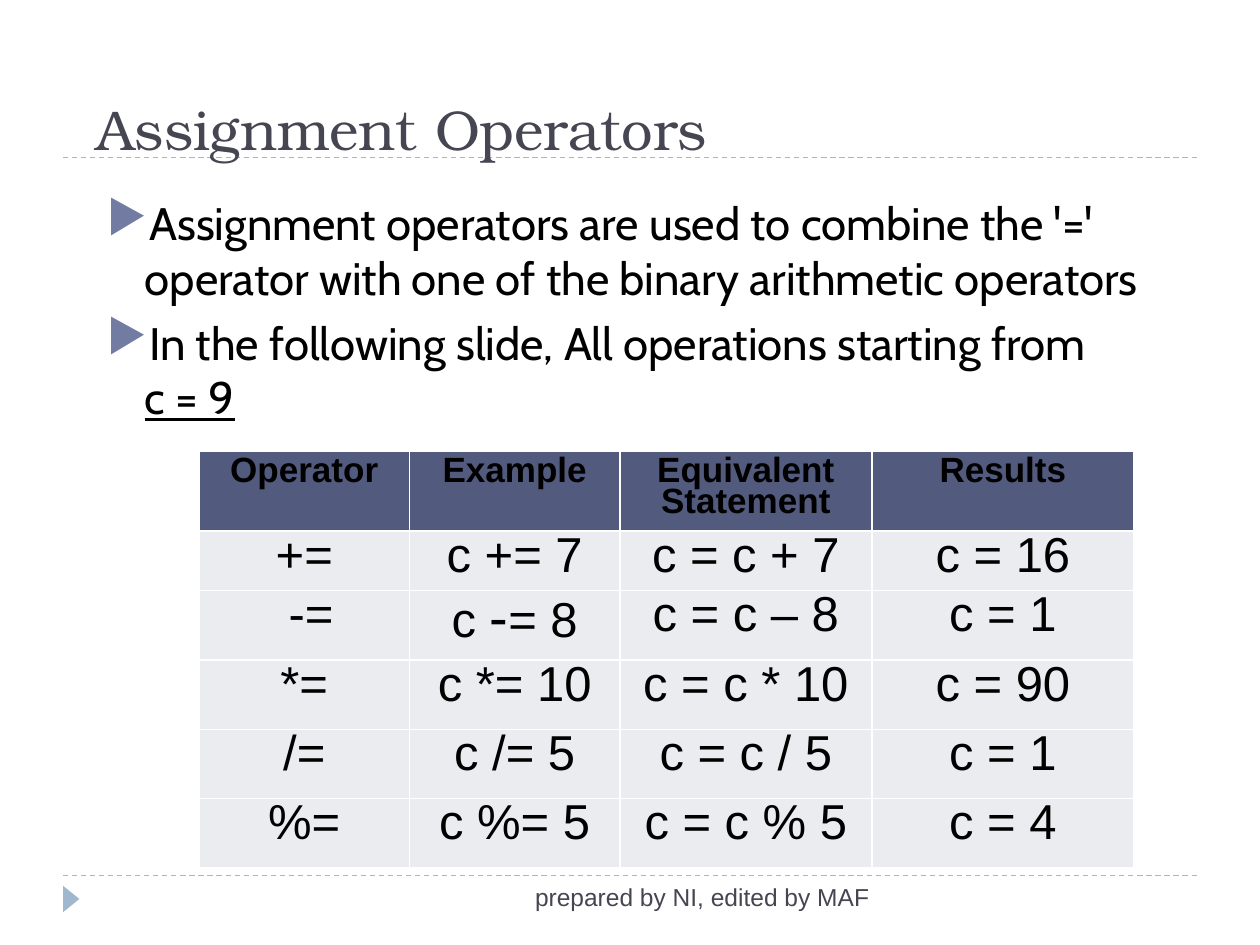
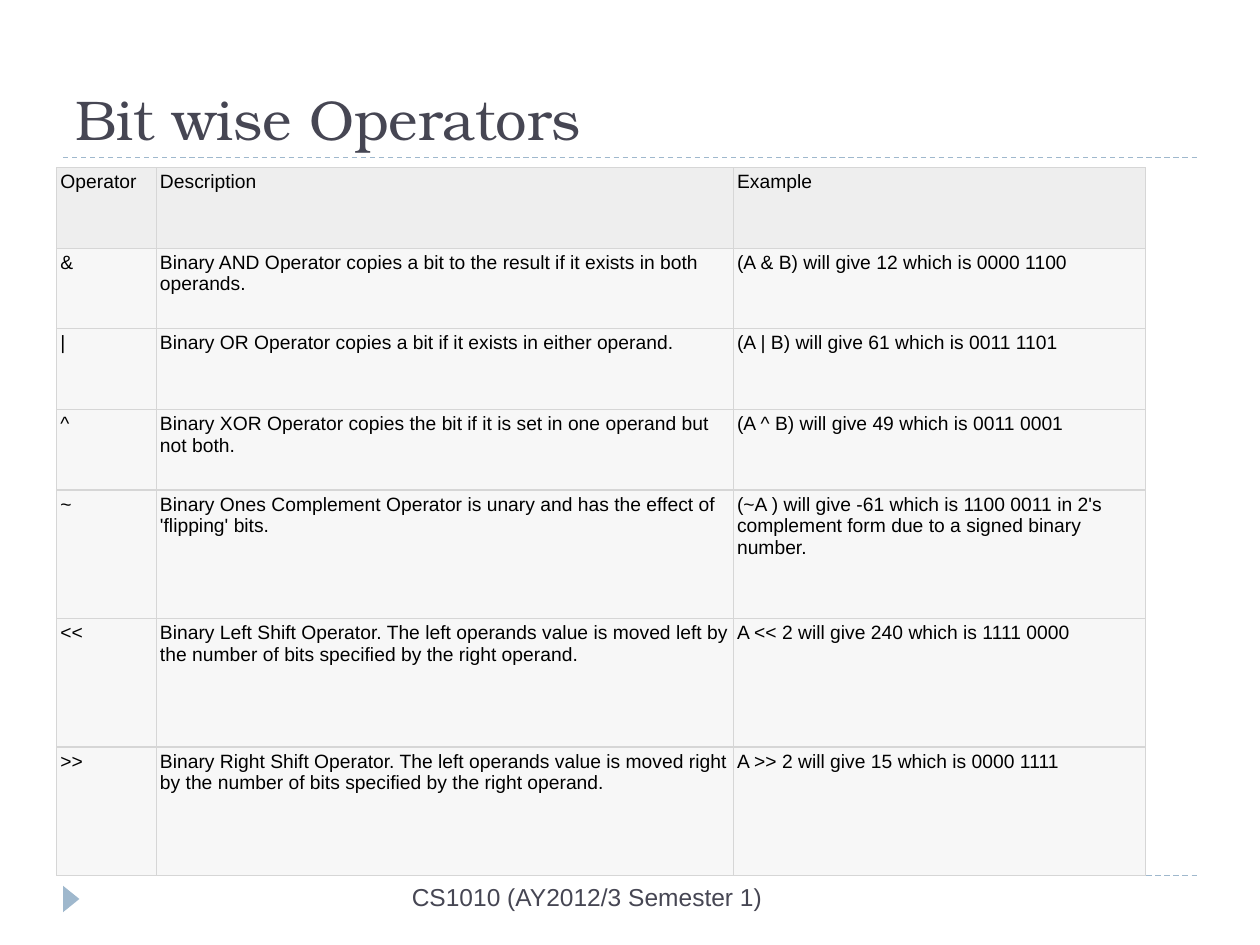
from lxml.etree import SubElement
from pptx import Presentation
from pptx.dml.color import RGBColor
from pptx.enum.dml import MSO_LINE
from pptx.enum.shapes import MSO_CONNECTOR, MSO_SHAPE
from pptx.enum.text import MSO_ANCHOR, PP_ALIGN
from pptx.oxml.ns import qn
from pptx.util import Inches, Pt

COLORS = {
    "title": "464653",
    "text": "000000",
    "accent": "9FB8CD",
    "bullet": "727CA3",
    "operator_header": "525A7D",
    "operator_body": "EBECF0",
    "operator_border": "FFFFFF",
    "bitwise_header": "EEEEEE",
    "bitwise_body": "F7F7F7",
    "bitwise_border": "D6D6D6",
}

FORMATS = {
    "title": {"name": "TeX Gyre Bonum", "size": Pt(32), "color": "title"},
    "body": {"name": "Cabin", "size": Pt(26), "color": "text"},
    "footer": {"name": "Arial", "size": Pt(14), "color": "title"},
    "operator_header": {"name": "Arial", "size": Pt(20), "bold": True, "color": "text"},
    "operator_body": {"name": "Arial", "size": Pt(28), "bold": False, "color": "text"},
    "bitwise": {"name": "Arial", "size": Pt(11), "bold": False, "color": "text"},
}

BODY = [
    [("Assignment operators are used to combine the '=' operator "
      "with one of the binary arithmetic operators", {})],
    [("In the following slide, All operations starting from", {}),
     ("\v", {}), ("c = 9", {"underline": True})],
]

ASSIGNMENT_ROWS = [
    ["Operator", "Example", "Equivalent Statement", "Results"],
    ["+=", "c += 7", "c = c + 7", "c = 16"],
    [" -=", [("c ", {}), ("-", {"size": Pt(32)}), ("= 8", {})], "c = c – 8", "c = 1"],
    ["*=", "c *= 10", "c = c * 10", "c = 90"],
    ["/=", "c /= 5", "c = c / 5", "c = 1"],
    ["%=", "c %= 5", "c = c % 5", "c = 4"],
]

BITWISE_ROWS = [
    ["Operator", "Description", "Example"],
    ["&", "Binary AND Operator copies a bit to the result if it exists in both operands.",
     "(A & B) will give 12 which is 0000 1100"],
    ["|", "Binary OR Operator copies a bit if it exists in either operand.",
     "(A | B) will give 61 which is 0011 1101"],
    ["^", "Binary XOR Operator copies the bit if it is set in one operand but not both.",
     "(A ^ B) will give 49 which is 0011 0001"],
    ["~", "Binary Ones Complement Operator is unary and has the effect of 'flipping' bits.",
     "(~A ) will give -61 which is 1100 0011 in 2's complement form due to a signed binary number."],
    ["<<", "Binary Left Shift Operator. The left operands value is moved left by "
           "the number of bits specified by the right operand.",
     "A << 2 will give 240 which is 1111 0000"],
    [">>", "Binary Right Shift Operator. The left operands value is moved right by "
           "the number of bits specified by the right operand.",
     "A >> 2 will give 15 which is 0000 1111"],
]

ASSIGNMENT_STYLE = {
    "name": "operator", "header": "operator_header", "body": "operator_body",
    "border": 1, "margins": (0.1, 0.05),
    "paragraph": {"alignment": PP_ALIGN.CENTER, "line_spacing": 0.8},
}
BITWISE_STYLE = {
    "name": "bitwise", "header": "bitwise", "body": "bitwise",
    "border": 0.75, "margins": (0.03, 0.03), "paragraph": {},
}


def set_attributes(target, values):
    for name, value in values.items():
        setattr(target, name, value)


class Deck:
    def __init__(self):
        self.presentation = Presentation()
        self.presentation.slide_width = Inches(10)
        self.presentation.slide_height = Inches(7.5)
        self.slide = None

    def color(self, name):
        return RGBColor.from_string(COLORS[name])

    def add_slide(self, title, title_box, footer, footer_alignment):
        self.slide = self.presentation.slides.add_slide(self.presentation.slide_layouts[6])
        for top in (6.95, 1.25):
            self.rule(0.5, 9.5, top)
        self.marker()
        self.text(title_box, [title], "title", anchor=MSO_ANCHOR.BOTTOM)
        self.text((3.17, 6.95, 3.83, 0.4), [footer], "footer",
                  {"alignment": footer_alignment})

    def rule(self, left, right, top):
        connector = self.slide.shapes.add_connector(
            MSO_CONNECTOR.STRAIGHT, Inches(left), Inches(top), Inches(right), Inches(top))
        connector.line.color.rgb = self.color("accent")
        connector.line.width = Pt(0.75)
        connector.line.dash_style = MSO_LINE.DASH
        SubElement(connector._element.spPr, qn("a:effectLst"))

    def marker(self):
        triangle = self.slide.shapes.add_shape(
            MSO_SHAPE.ISOSCELES_TRIANGLE, *map(Inches, (0.46, 7.07, 0.21, 0.13)))
        triangle.rotation = 90
        triangle.shadow.inherit = False
        triangle.fill.solid()
        triangle.fill.fore_color.rgb = self.color("accent")
        triangle.line.fill.background()

    def add_runs(self, paragraph, content, style):
        pieces = [(content, {})] if isinstance(content, str) else content
        for wording, changes in pieces:
            if wording == "\v":
                paragraph.add_line_break()
                continue
            values = {**FORMATS[style], **changes}
            color = values.pop("color")
            run = paragraph.add_run()
            run.text = wording
            set_attributes(run.font, values)
            run.font.color.rgb = self.color(color)

    def text(self, box, contents, style, paragraph_format=None,
             anchor=MSO_ANCHOR.TOP, bullet=None):
        frame = self.slide.shapes.add_textbox(*map(Inches, box)).text_frame
        set_attributes(frame, {"word_wrap": True, "vertical_anchor": anchor})
        for index, content in enumerate(contents):
            paragraph = frame.add_paragraph() if index else frame.paragraphs[0]
            set_attributes(paragraph, paragraph_format or {})
            if index:
                paragraph.space_before = Pt(6)
            if bullet:
                self.bullet(paragraph, bullet)
            self.add_runs(paragraph, content, style)

    def bullet(self, paragraph, symbol):
        properties = paragraph._p.get_or_add_pPr()
        properties.set("marL", str(Inches(0.3)))
        properties.set("indent", str(Inches(-0.3)))
        color = SubElement(properties, qn("a:buClr"))
        SubElement(color, qn("a:srgbClr"), val=COLORS["bullet"])
        SubElement(properties, qn("a:buChar"), char=symbol)

    def borders(self, cell, color, width):
        properties = cell._tc.get_or_add_tcPr()
        for side in ("lnL", "lnR", "lnT", "lnB"):
            line = SubElement(properties, qn(f"a:{side}"), w=str(Pt(width)))
            fill = SubElement(line, qn("a:solidFill"))
            SubElement(fill, qn("a:srgbClr"), val=COLORS[color])

    def table(self, left, top, widths, heights, rows, style):
        table = self.slide.shapes.add_table(
            len(rows), len(widths), Inches(left), Inches(top),
            Inches(sum(widths)), Inches(sum(heights))).table
        set_attributes(table, {"first_row": False, "horz_banding": False})
        for column, width in zip(table.columns, widths):
            column.width = Inches(width)
        horizontal, vertical = map(Inches, style["margins"])
        for row_index, (row, height) in enumerate(zip(rows, heights)):
            table.rows[row_index].height = Inches(height)
            part = "body" if row_index else "header"
            for column_index, content in enumerate(row):
                cell = table.cell(row_index, column_index)
                set_attributes(cell, {"margin_left": horizontal, "margin_right": horizontal,
                                      "margin_top": vertical, "margin_bottom": vertical})
                self.borders(cell, f"{style['name']}_border", style["border"])
                cell.fill.solid()
                cell.fill.fore_color.rgb = self.color(f"{style['name']}_{part}")
                paragraph = cell.text_frame.paragraphs[0]
                set_attributes(paragraph, style["paragraph"])
                self.add_runs(paragraph, content, style[part])


def main():
    deck = Deck()
    deck.add_slide("Assignment Operators", (0.67, 0.25, 8.92, 1.08),
                   "prepared by NI, edited by MAF", PP_ALIGN.RIGHT)
    deck.text((0.75, 1.5, 8.5, 5.33), BODY, "body", bullet="▶")
    deck.table(1.58, 3.58, [1.67, 1.67, 2, 2.08], [0.63, 0.47] + [0.55] * 4,
               ASSIGNMENT_ROWS, ASSIGNMENT_STYLE)

    deck.add_slide("Bit wise Operators", (0.5, 0.17, 9, 1.08),
                   "CS1010 (AY2012/3 Semester 1)", PP_ALIGN.LEFT)
    deck.table(0.45, 1.33, [0.79, 4.58, 3.27], [0.64] * 4 + [1.02] * 3,
               BITWISE_ROWS, BITWISE_STYLE)
    deck.presentation.save("out.pptx")


if __name__ == "__main__":
    main()
